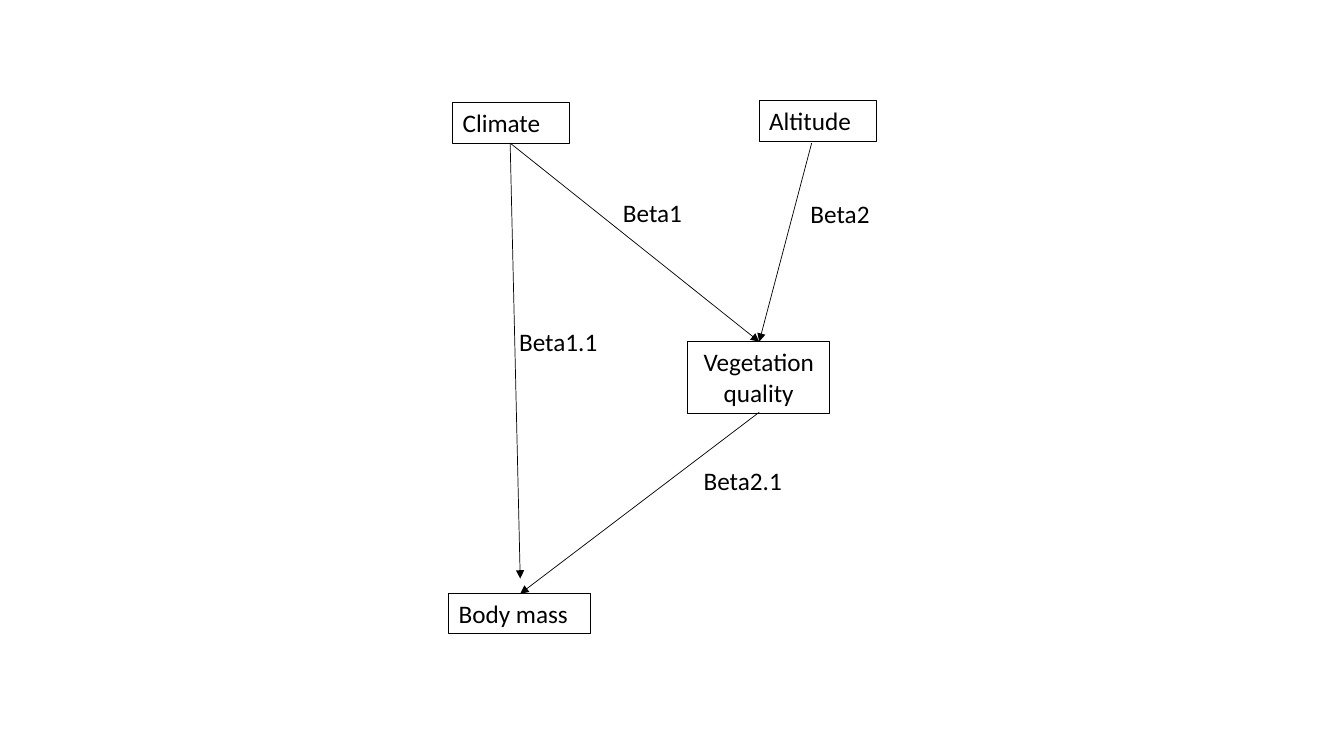
from dataclasses import dataclass

from lxml import etree
from pptx import Presentation
from pptx.dml.color import RGBColor
from pptx.enum.shapes import MSO_CONNECTOR
from pptx.enum.text import MSO_AUTO_SIZE, PP_ALIGN
from pptx.oxml.ns import qn
from pptx.util import Inches, Pt

STRAIGHT = MSO_CONNECTOR.STRAIGHT
FIT_SHAPE = MSO_AUTO_SIZE.SHAPE_TO_FIT_TEXT
LEFT, CENTER = PP_ALIGN.LEFT, PP_ALIGN.CENTER
COLORS = {"ink": "000000"}
INK = RGBColor.from_string(COLORS["ink"])
FONT, FONT_SIZE = "Calibri", Pt(18)
LINE_HEIGHT = 0.4


@dataclass
class Label:
    text: str
    left: float
    top: float
    width: float = 1.48
    height: float = LINE_HEIGHT
    align: PP_ALIGN = LEFT
    boxed: bool = False


@dataclass
class Arrow:
    start: tuple[float, float]
    end: tuple[float, float]


def add_label(s, label: Label) -> None:
    sp = s.shapes.add_textbox(Inches(label.left), Inches(label.top),
                              Inches(label.width), Inches(label.height))
    if label.boxed:
        sp.line.color.rgb = INK
        sp.line.width = Pt(0.75)
    tf = sp.text_frame
    tf.word_wrap = True
    tf.auto_size = FIT_SHAPE
    tf.text = label.text
    p = tf.paragraphs[0]
    p.alignment = label.align
    font = p.runs[0].font
    font.name, font.size = FONT, FONT_SIZE
    font.color.rgb = INK


def add_arrow(s, arrow: Arrow) -> None:
    points = [Inches(v) for v in (*arrow.start, *arrow.end)]
    cx = s.shapes.add_connector(STRAIGHT, *points)
    cx.line.color.rgb = INK
    cx.line.width = Pt(0.5)
    sp_pr = cx._element.spPr
    etree.SubElement(sp_pr.find(qn("a:ln")), qn("a:tailEnd"), type="triangle")
    etree.SubElement(sp_pr, qn("a:effectLst"))


# Variables of the path diagram
VARIABLES = [
    Label("Vegetation quality", 6.82, 3.39, 1.41, 0.71, CENTER, boxed=True),
    Label("Climate", 4.49, 1.02, 1.16, boxed=True),
    Label("Altitude", 7.53, 1, 1.16, boxed=True),
    Label("Body mass", 4.45, 5.89, 1.41, boxed=True),
]

# Effects between the variables
CLIMATE_BOTTOM = (5.06, 1.42)
VEGETATION_TOP = (7.53, 3.39)
EFFECTS = [
    Arrow(CLIMATE_BOTTOM, VEGETATION_TOP),
    Arrow((8.05, 1.42), VEGETATION_TOP),
    Arrow(CLIMATE_BOTTOM, (5.16, 5.74)),
    Arrow((7.53, 4.09), (5.16, 5.89)),
]

# Coefficients beside the arrows
COEFFICIENTS = [
    Label("Beta1", 6.08, 1.91),
    Label("Beta2", 7.94, 1.92),
    Label("Beta1.1", 5.05, 3.19),
    Label("Beta2.1", 6.88, 4.57),
]

prs = Presentation()
prs.slide_width, prs.slide_height = Inches(13.33), Inches(7.5)
s = prs.slides.add_slide(prs.slide_layouts[6])

for variable in VARIABLES:
    add_label(s, variable)
for effect in EFFECTS:
    add_arrow(s, effect)
for coefficient in COEFFICIENTS:
    add_label(s, coefficient)

prs.save("out.pptx")
